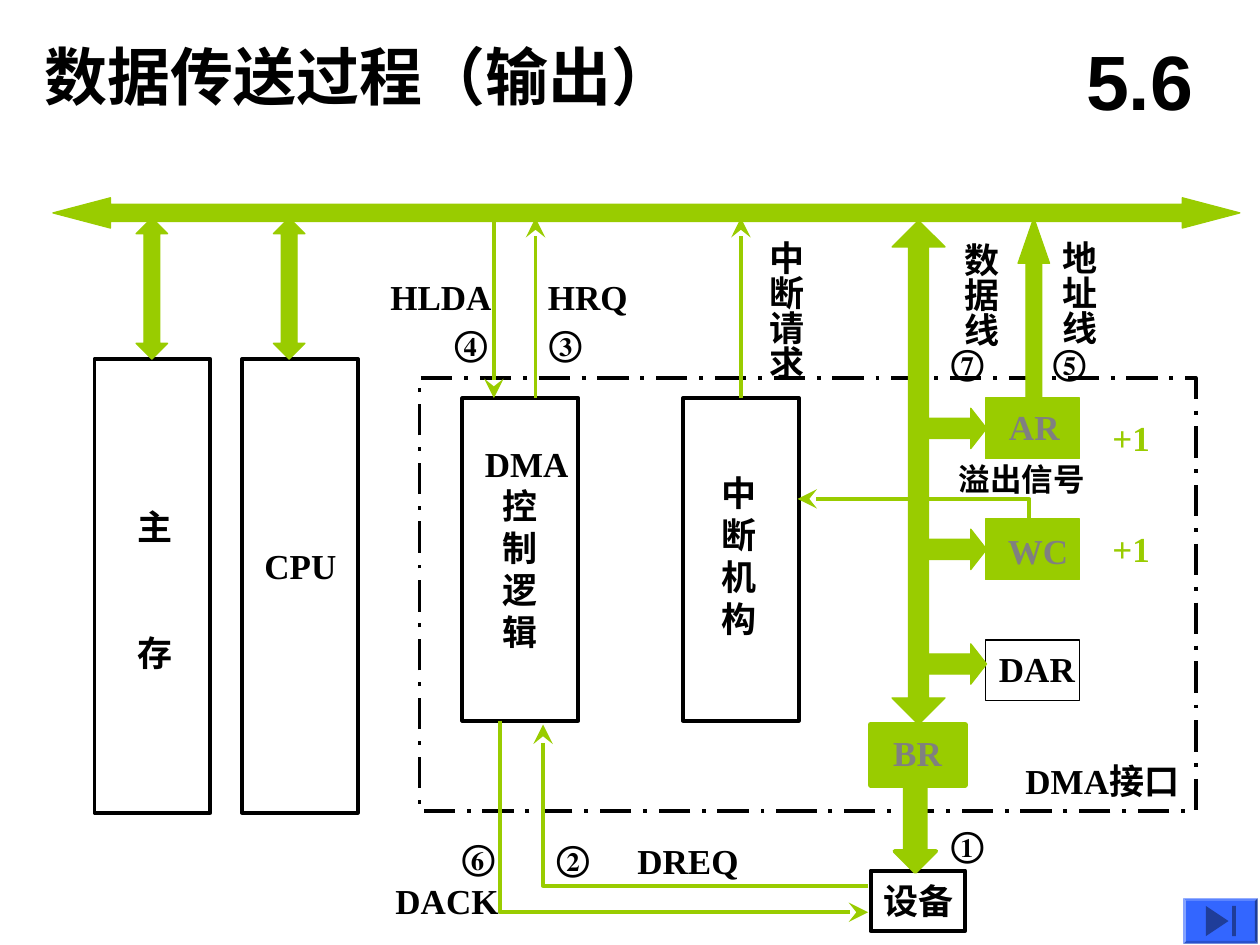
"""Build the slide on the DMA output transfer, on a grid of 100 columns by 75 rows."""
from lxml.etree import SubElement as Sub
from pptx import Presentation
from pptx.dml.color import RGBColor
from pptx.enum.dml import MSO_LINE as Dash
from pptx.enum.shapes import MSO_CONNECTOR as Link, MSO_SHAPE as Kind
from pptx.enum.text import MSO_ANCHOR as Anchor, MSO_AUTO_SIZE as Auto, PP_ALIGN as Align
from pptx.oxml.ns import qn
from pptx.util import Inches, Pt

hue = RGBColor.from_string
GREEN, BLACK, GRAY = "99CC00", "000000", "808080"

deck = Presentation()
deck.slide_width, deck.slide_height = Inches(10), Inches(7.5)
unit = deck.slide_width / 100
slide = deck.slides.add_slide(deck.slide_layouts[5])
shapes = slide.shapes


def draw(kind, area, fill=None, line=None, width=0.75, adjust=()):
    """Add a preset shape on the grid."""
    item = shapes.add_shape(kind, *[round(v * unit) for v in area])
    item.shadow.inherit = False
    if fill:
        item.fill.solid()
        item.fill.fore_color.rgb = hue(fill)
    else:
        item.fill.background()
    if line:
        item.line.color.rgb = hue(line)
        item.line.width = Pt(width)
    else:
        item.line.fill.background()
    for i, value in enumerate(adjust):
        item.adjustments[i] = value
    return item


def write(area, words, color=BLACK, size=20, font="Times New Roman", box=None):
    """Fill a text box, one paragraph per word, and return its frame."""
    place = [round(v * unit) for v in area]
    box = box or shapes.add_textbox(*place)
    box.left, box.top, box.width, box.height = place
    frame = box.text_frame
    frame.word_wrap = True
    frame.auto_size = Auto.NONE
    frame.margin_right = 0
    for i, word in enumerate(words):
        para = frame.add_paragraph() if i else frame.paragraphs[0]
        run = para.add_run()
        run.text = word
        run.font.name, run.font.size, run.font.bold = font, Pt(size), True
        run.font.color.rgb = hue(color)
    return frame


head = write((2.5, 2.5, 62.5, 7), ["数据传送过程（输出）"], size=36, box=shapes.title)
head.vertical_anchor = Anchor.TOP
head.paragraphs[0].alignment = Align.LEFT
mark = write((84.2, 1.7, 12.5, 9.2), ["5.6"], size=44, font="Arial")
mark.margin_right = Inches(0.1)
mark.vertical_anchor = Anchor.MIDDLE
mark.paragraphs[0].alignment = Align.CENTER

for x in (7.5, 19.2):
    draw(Kind.RECTANGLE, (x, 28.5, 9.2, 36), line=BLACK, width=2.25)
logic, breaker = [
    draw(Kind.RECTANGLE, (x, 31.6, 9.2, 25.6), line=BLACK, width=2.25) for x in (36.7, 54.2)
]
draw(Kind.RECTANGLE, (69.1, 69.1, 7.5, 4.8), line=BLACK, width=2.25)
draw(Kind.RECTANGLE, (78.2, 50.8, 7.5, 4.8), line=BLACK)
port = draw(Kind.RECTANGLE, (33.3, 30, 61.6, 34.4), line=BLACK, width=2.25)
port.line.dash_style = Dash.LONG_DASH_DOT

draw(Kind.LEFT_RIGHT_ARROW, (4.2, 15.7, 94.2, 2.4), GREEN, GREEN, adjust=(0.57, 1.9))
for x in (10.8, 21.7):
    draw(Kind.UP_DOWN_ARROW, (x, 17.3, 2.5, 11.2), GREEN, GREEN, adjust=(0.89, 0.5))
draw(Kind.UP_DOWN_ARROW, (70.8, 17.5, 4.2, 40), GREEN, GREEN, adjust=(0.7, 0.38))
for y in (32.4, 42, 51.1):
    draw(Kind.RIGHT_ARROW, (73.3, y, 5, 3.2), GREEN, GREEN, adjust=(0.5, 0.39))
draw(Kind.UP_ARROW, (80.8, 17.3, 2.5, 14.4), GREEN, GREEN, adjust=(0.5, 1.44))
draw(Kind.DOWN_ARROW, (71, 62.5, 3.3, 6.7), GREEN, GREEN, 2.25, (0.5, 0.5))
for x, y, width in ((78.2, 31.6, 0.75), (78.2, 41.2, 0.75), (69.1, 57.5, 3)):
    draw(Kind.RECTANGLE, (x, y, 7.5, 4.8), GREEN, GREEN, width)

routes = (
    ((42.5, 31.6), (42.5, 17.3)),
    ((39.2, 17.3), (39.2, 31.6)),
    ((58.8, 31.6), (58.8, 17.3)),
    ((68.9, 70.3), (43.1, 70.3), (43.1, 57.5)),
    ((39.7, 57.2), (39.7, 72.4), (68.9, 72.4)),
    ((81.7, 41.2), (81.7, 39.6), (63.3, 39.6)),
)
for route in routes:
    first, *rest = [(round(x * unit), round(y * unit)) for x, y in route]
    if len(rest) == 1:
        wire = shapes.add_connector(Link.STRAIGHT, *first, *rest[0])
        if route[0][0] == 58.8:
            wire.begin_connect(breaker, 0)
    else:
        path = shapes.build_freeform(*first)
        path.add_line_segments(rest, close=False)
        wire = path.convert_to_shape()
        wire.fill.background()
    wire.line.color.rgb = hue(GREEN)
    wire.line.width = Pt(2.25)
    props = wire._element.spPr
    Sub(props.find(qn("a:ln")), qn("a:tailEnd"), type="stealth", w="lg", len="lg")
    Sub(props, qn("a:effectLst"))

labels = (
    (69.1, 69.3, 7.5, "设备", BLACK), (78.3, 50.9, 8, "DAR", BLACK),
    (80.4, 59.8, 14.9, "DMA接口", BLACK), (20, 42.7, 7.7, "CPU", BLACK),
    (49.6, 66.1, 10, "DREQ", BLACK), (43.2, 65.9, 4.6, "②", BLACK),
    (42.5, 21.4, 8.3, "HRQ", BLACK), (42.6, 25, 4.6, "③", BLACK),
    (30, 21.4, 10, "HLDA", BLACK), (35.1, 25, 4.6, "④", BLACK),
    (82.6, 26.5, 4.6, "⑤", BLACK), (74.5, 26.5, 4.6, "⑦", BLACK),
    (30.4, 69.3, 10.2, "DACK", BLACK), (35.7, 65.8, 4.6, "⑥", BLACK),
    (74.5, 64.8, 4.6, "①", BLACK), (79.1, 31.7, 6, "AR", GRAY),
    (79, 41.5, 6.8, "WC", GRAY), (69.9, 57.6, 5.8, "BR", GRAY),
    (87.3, 32.6, 5, "+1", GREEN), (87.3, 41.4, 5, "+1", GREEN),
)
for x, y, width, word, color in labels:
    write((x, y, width, 4.4), [word], color)
write((75.1, 36, 12, 4), ["溢出信号"], size=18)

store = write((9.9, 39.6, 4.8, 14.4), ["主", "存"])
store.paragraphs[1].space_before = Pt(48)
steps = write((37.5, 34.6, 8.6, 17.7), ["DMA", *"控制逻辑"])
for para in steps.paragraphs[1:]:
    para._p.get_or_add_pPr().set("marL", str(Pt(10)))
write((56.3, 36.9, 4.8, 14.4), "中断机构")

for x, y, height, word in (
    (82.5, 18.1, 9.4, "地址线"), (74.7, 18.3, 9.4, "数据线"), (59.2, 18.1, 12.2, "中断请求"),
):
    frame = write((x, y, 5.3, height), [word])
    frame.margin_left = frame.margin_right = frame.margin_top = Inches(0.05)
    frame.margin_bottom = 0
    frame._txBody.bodyPr.set("vert", "eaVert")

draw(Kind.BEVEL, (93.9, 71.3, 5.9, 3.6), "3366FF", adjust=(0.06,))
tip = draw(Kind.ISOSCELES_TRIANGLE, (95.4, 72.2, 2.4, 1.8), "1F3D99")
tip.rotation = 90
draw(Kind.RECTANGLE, (97.8, 71.9, 0.3, 2.4), "1F3D99")

deck.save("out.pptx")
